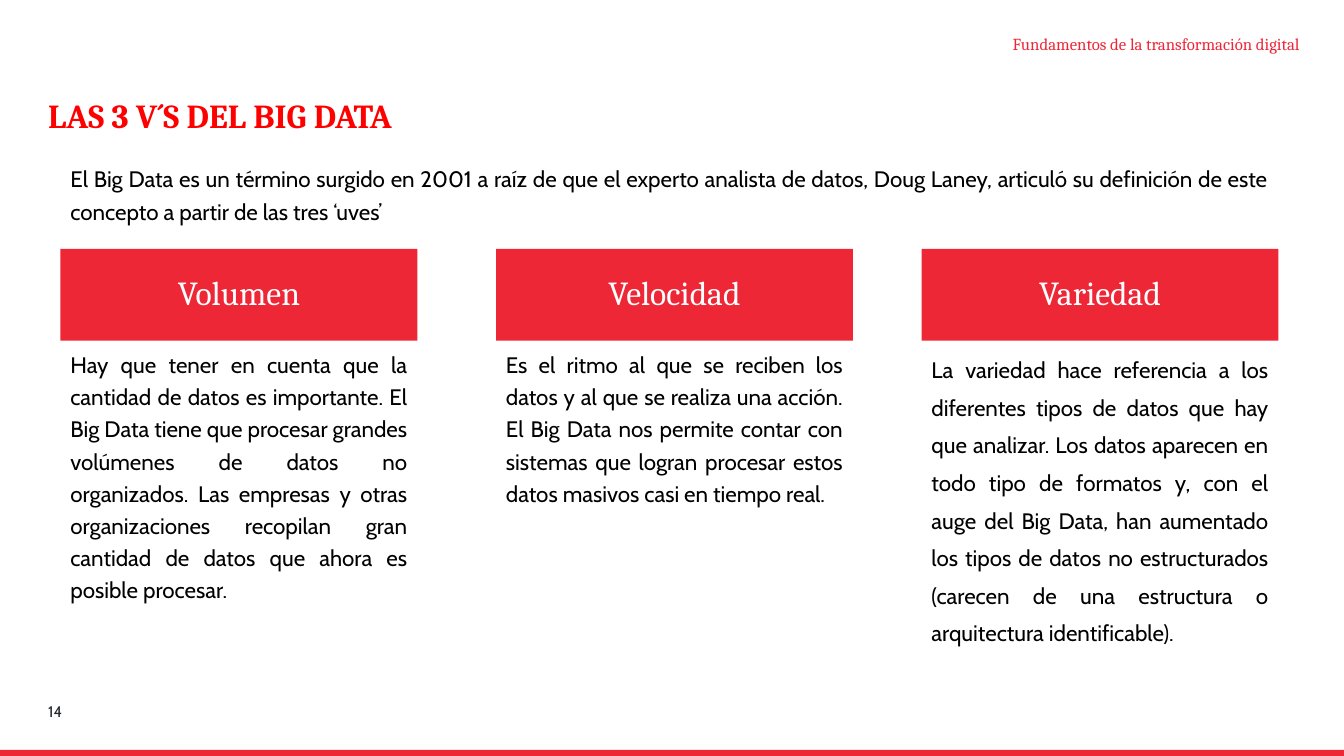
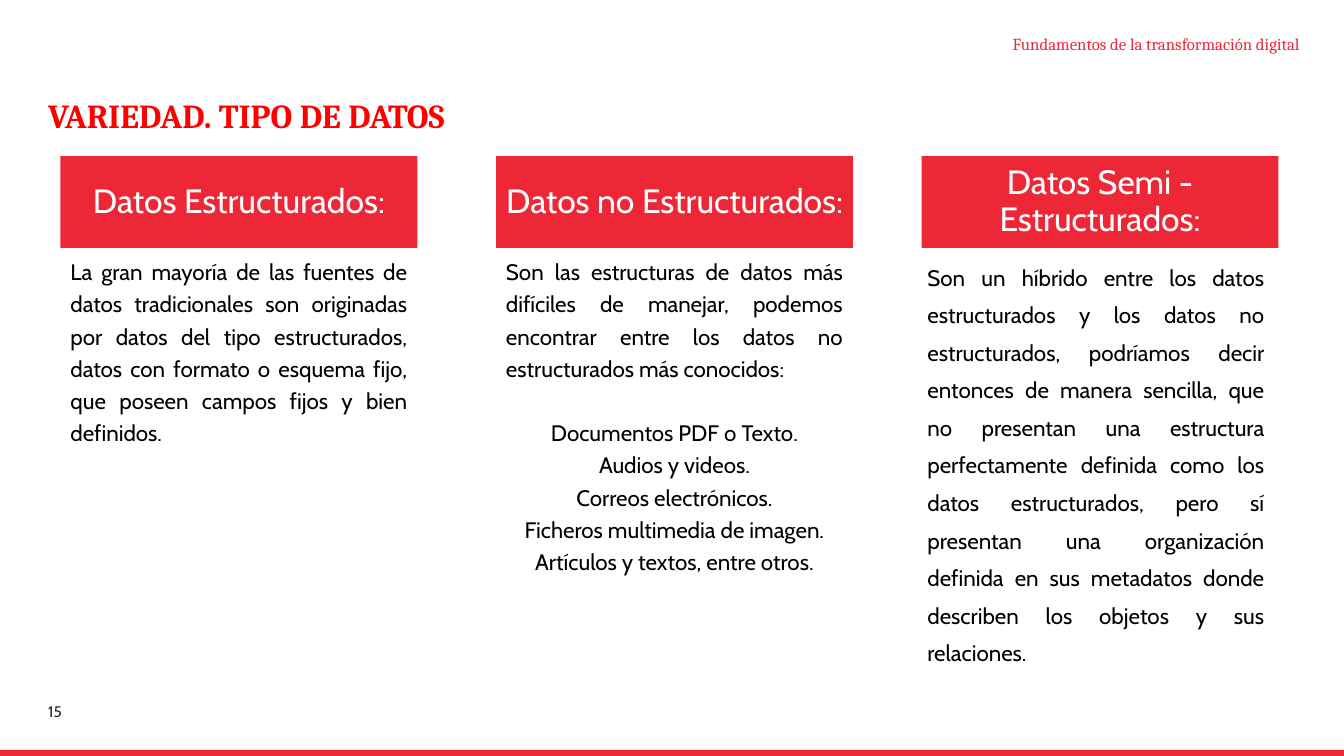
from pptx import Presentation
from pptx.dml.color import RGBColor
from pptx.enum.shapes import MSO_SHAPE
from pptx.enum.text import MSO_ANCHOR, PP_ALIGN
from pptx.util import Inches, Pt

RECT = MSO_SHAPE.RECTANGLE
TOP, MIDDLE = MSO_ANCHOR.TOP, MSO_ANCHOR.MIDDLE
LEFT, RIGHT = PP_ALIGN.LEFT, PP_ALIGN.RIGHT
CENTER, JUSTIFY = PP_ALIGN.CENTER, PP_ALIGN.JUSTIFY

COLORS = {"red": "EE2737", "title": "FF0000", "ink": "25282A",
          "black": "000000", "white": "FFFFFF"}
SERIF, SANS = "Cambria", "Cabin"
COLS = [0.6, 4.92, 9.14]
COL_W, HEAD_H = 3.54, 0.91

# Each column: heading, left edge of body, line spacing, body, centred list
SLIDES = [
    {"title": "LAS 3 V´S DEL BIG DATA", "number": 14, "top": 2.47, "font": SERIF,
     "intro": "El Big Data es un término surgido en 2001 a raíz de que el experto "
              "analista de datos, Doug Laney, articuló su definición de este "
              "concepto a partir de las tres ‘uves’",
     "cols": [
         ("Volumen", COLS[0], 1.2,
          "Hay que tener en cuenta que la cantidad de datos es importante. El Big "
          "Data tiene que procesar grandes volúmenes de datos no organizados. Las "
          "empresas y otras organizaciones recopilan gran cantidad de datos que "
          "ahora es posible procesar.", []),
         ("Velocidad", COLS[1], 1.2,
          "Es el ritmo al que se reciben los datos y al que se realiza una acción. "
          "El Big Data nos permite contar con sistemas que logran procesar estos "
          "datos masivos casi en tiempo real.", []),
         ("Variedad", COLS[2], 1.4,
          "La variedad hace referencia a los diferentes tipos de datos que hay que "
          "analizar. Los datos aparecen en todo tipo de formatos y, con el auge del "
          "Big Data, han aumentado los tipos de datos no estructurados (carecen de "
          "una estructura o arquitectura identificable).", []),
     ]},
    {"title": "VARIEDAD. TIPO DE DATOS", "number": 15, "top": 1.55, "font": SANS,
     "intro": "",
     "cols": [
         ("Datos Estructurados:", COLS[0], 1.2,
          "La gran mayoría de las fuentes de datos tradicionales son originadas por "
          "datos del tipo estructurados, datos con formato o esquema fijo, que "
          "poseen campos fijos y bien definidos.", []),
         ("Datos no Estructurados:", COLS[1], 1.2,
          "Son las estructuras de datos más difíciles de manejar, podemos encontrar "
          "entre los datos no estructurados más conocidos:",
          ["Documentos PDF o Texto.", "Audios y videos.", "Correos electrónicos.",
           "Ficheros multimedia de imagen.", "Artículos y textos, entre otros."]),
         ("Datos Semi - Estructurados:", 9.1, 1.4,
          "Son un híbrido entre los datos estructurados y los datos no "
          "estructurados, podríamos decir entonces de manera sencilla, que no "
          "presentan una estructura perfectamente definida como los datos "
          "estructurados, pero sí presentan una organización definida en sus "
          "metadatos donde describen los objetos y sus relaciones.", []),
     ]},
]


def add_text(slide, box, text, size, font, color, align=LEFT, anchor=TOP,
             spacing=1.0, bold=False, fill=None):
    """Add a text box, or a filled rectangle when fill is given."""
    area = [Inches(v) for v in box]
    if fill:
        shape = slide.shapes.add_shape(RECT, *area)
        shape.shadow.inherit = False
        shape.fill.solid()
        shape.fill.fore_color.rgb = RGBColor.from_string(COLORS[fill])
        shape.line.fill.background()
    else:
        shape = slide.shapes.add_textbox(*area)
    frame = shape.text_frame
    frame.word_wrap = True
    frame.vertical_anchor = anchor
    frame.text = text
    for para in frame.paragraphs:
        para.alignment = align
        para.line_spacing = spacing
        for run in para.runs:
            run.font.size = Pt(size)
            run.font.name = font
            run.font.bold = bold
            run.font.color.rgb = RGBColor.from_string(COLORS[color])
    return frame


prs = Presentation()
prs.slide_width, prs.slide_height = Inches(13.33), Inches(7.5)

for data in SLIDES:
    slide = prs.slides.add_slide(prs.slide_layouts[6])
    add_text(slide, (0, 7.44, 13.33, 0.06), "", 12, SANS, "white", fill="red")
    add_text(slide, (0.38, 0.94, 12.5, 0.49), data["title"], 24, SERIF, "title",
             spacing=0.9, bold=True)
    add_text(slide, (2.47, 0.23, 10.52, 0.4),
             "Fundamentos de la transformación digital", 12, SERIF, "red",
             RIGHT, MIDDLE)
    add_text(slide, (0.38, 6.86, 3, 0.4), str(data["number"]), 11, SANS, "ink",
             anchor=MIDDLE)
    if data["intro"]:
        add_text(slide, (0.6, 1.54, 12.08, 0.79), data["intro"], 16, SANS, "black",
                 JUSTIFY, spacing=1.2)

    top = data["top"]
    low = top + HEAD_H
    for x, (head, left, spacing, body, items) in zip(COLS, data["cols"]):
        add_text(slide, (x, top, COL_W, HEAD_H), head, 24, data["font"], "white",
                 CENTER, MIDDLE, 0.9, fill="red")
        frame = add_text(slide, (left, low, COL_W, 6.85 - low),
                         "\n".join([body] + items), 16, SANS, "black", JUSTIFY,
                         spacing=spacing)
        for para in frame.paragraphs[1:]:
            para.alignment = CENTER
        if items:
            frame.paragraphs[1].space_before = Pt(23)

prs.save("out.pptx")
